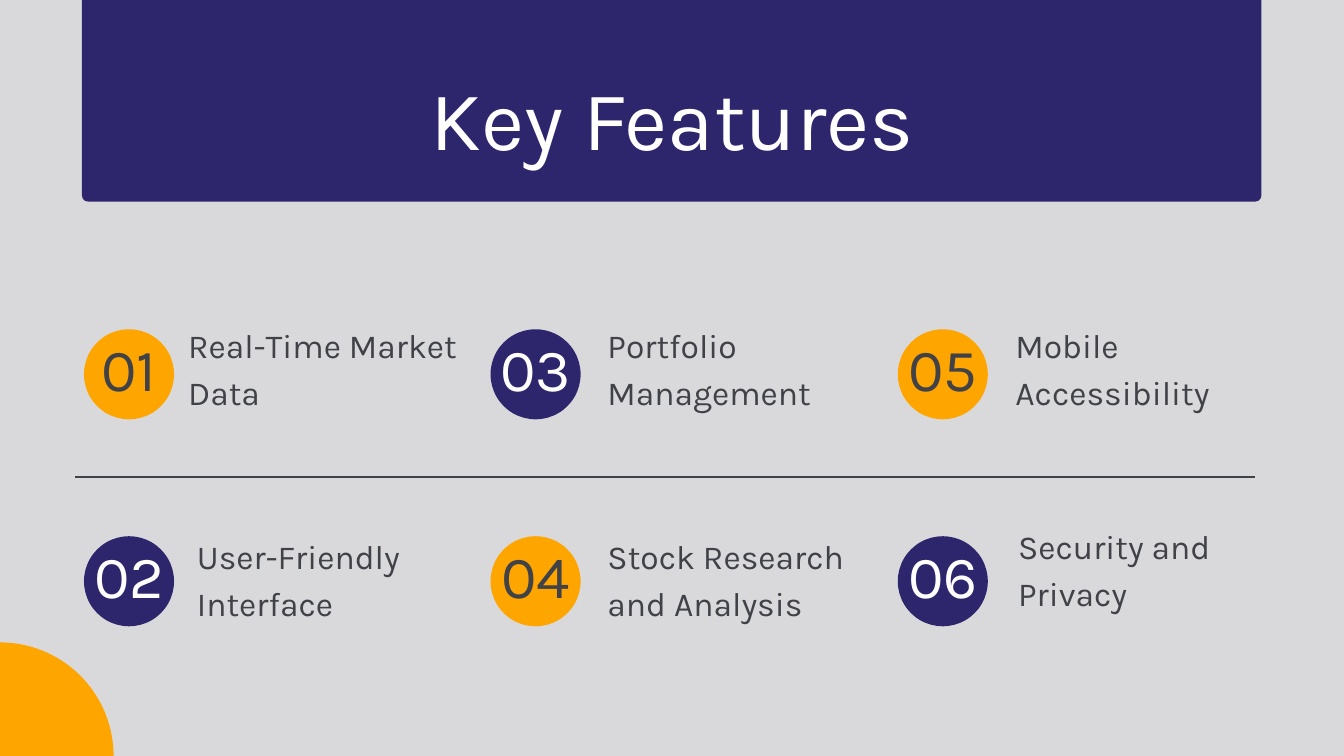
"""Build the Key Features slide: a banner and six numbered features in two rows."""
import pptx
import pptx.dml.color
import pptx.enum.shapes
import pptx.enum.text
import pptx.oxml
import pptx.util
from pptx.util import Inches

NAVY, ORANGE, GREY, WHITE = "2E266D", "FFA500", "414248", "FFFFFF"
SHAPES = pptx.enum.shapes.MSO_SHAPE
ALIGN = pptx.enum.text.PP_ALIGN


def paint(color_format, color):
    color_format.rgb = pptx.dml.color.RGBColor.from_string(color)


def add_text(box, text, size, color, align):
    left, top, width, height = [Inches(length) for length in box]
    frame = slide.shapes.add_textbox(left, top, width, height).text_frame
    frame.margin_left = frame.margin_top = frame.margin_right = frame.margin_bottom = 0
    frame.word_wrap = True
    frame.auto_size = pptx.enum.text.MSO_AUTO_SIZE.SHAPE_TO_FIT_TEXT
    frame.text = text
    paragraph = frame.paragraphs[0]
    paragraph.alignment = align
    paragraph.line_spacing = pptx.util.Pt(size * 1.4)
    font = paragraph.runs[0].font
    font.name = "Karla"
    font.size = pptx.util.Pt(size)
    paint(font.color, color)


presentation = pptx.Presentation()
presentation.slide_width = Inches(20)
presentation.slide_height = Inches(11.25)
slide = presentation.slides.add_slide(presentation.slide_layouts[6])
slide.background.fill.solid()
paint(slide.background.fill.fore_color, "D9D9DB")

column_lefts = [1.25, 7.3, 13.36]
row_tops = [4.9, 7.98]
badge_size = 1.34

panels = [
    (SHAPES.ROUNDED_RECTANGLE, 1.22, -1.45, 17.55, 4.45, NAVY),
    (SHAPES.OVAL, -1.69, 9.56, 3.38, 3.38, ORANGE),
]
for column, left in enumerate(column_lefts):
    for row, top in enumerate(row_tops):
        color = NAVY if (column + row) % 2 else ORANGE
        panels.append((SHAPES.OVAL, left, top, badge_size, badge_size, color))

for kind, left, top, width, height, color in panels:
    panel = slide.shapes.add_shape(
        kind, Inches(left), Inches(top), Inches(width), Inches(height))
    if kind == SHAPES.ROUNDED_RECTANGLE:
        panel.adjustments[0] = 0.02
    panel.shadow.inherit = False
    panel.fill.solid()
    paint(panel.fill.fore_color, color)
    panel.line.fill.background()

divider = slide.shapes.add_connector(
    pptx.enum.shapes.MSO_CONNECTOR.STRAIGHT,
    Inches(1.12), Inches(7.1), Inches(18.68), Inches(7.1))
paint(divider.line.color, GREY)
divider.line.width = pptx.util.Pt(1.5)
divider.element.spPr.append(pptx.oxml.parse_xml(
    '<a:effectLst xmlns:a="http://schemas.openxmlformats.org/drawingml/2006/main"/>'))

add_text((4.18, 0.74, 11.65, 1.89), "Key Features", 90, WHITE, ALIGN.CENTER)

features = [
    ("Real-Time Market Data", 2.8, 4.74, 4.19),
    ("User-Friendly Interface", 2.93, 7.87, 3.92),
    ("Portfolio Management", 9.04, 4.74, 3.92),
    ("Stock Research and Analysis", 9.04, 7.87, 3.92),
    ("Mobile Accessibility", 15.11, 4.74, 3.92),
    ("Security and Privacy", 15.15, 7.73, 3.92),
]
for index, (feature, left, top, width) in enumerate(features):
    column, row = divmod(index, 2)
    number_color = WHITE if (column + row) % 2 else GREY
    number_box = (column_lefts[column] - 0.02, row_tops[row] - 0.14, 1.38, 1.33)
    add_text(number_box, f"{index + 1:02}", 64, number_color, ALIGN.CENTER)
    add_text((left, top, width, 1.45), feature, 36, GREY, ALIGN.LEFT)

presentation.save("out.pptx")
